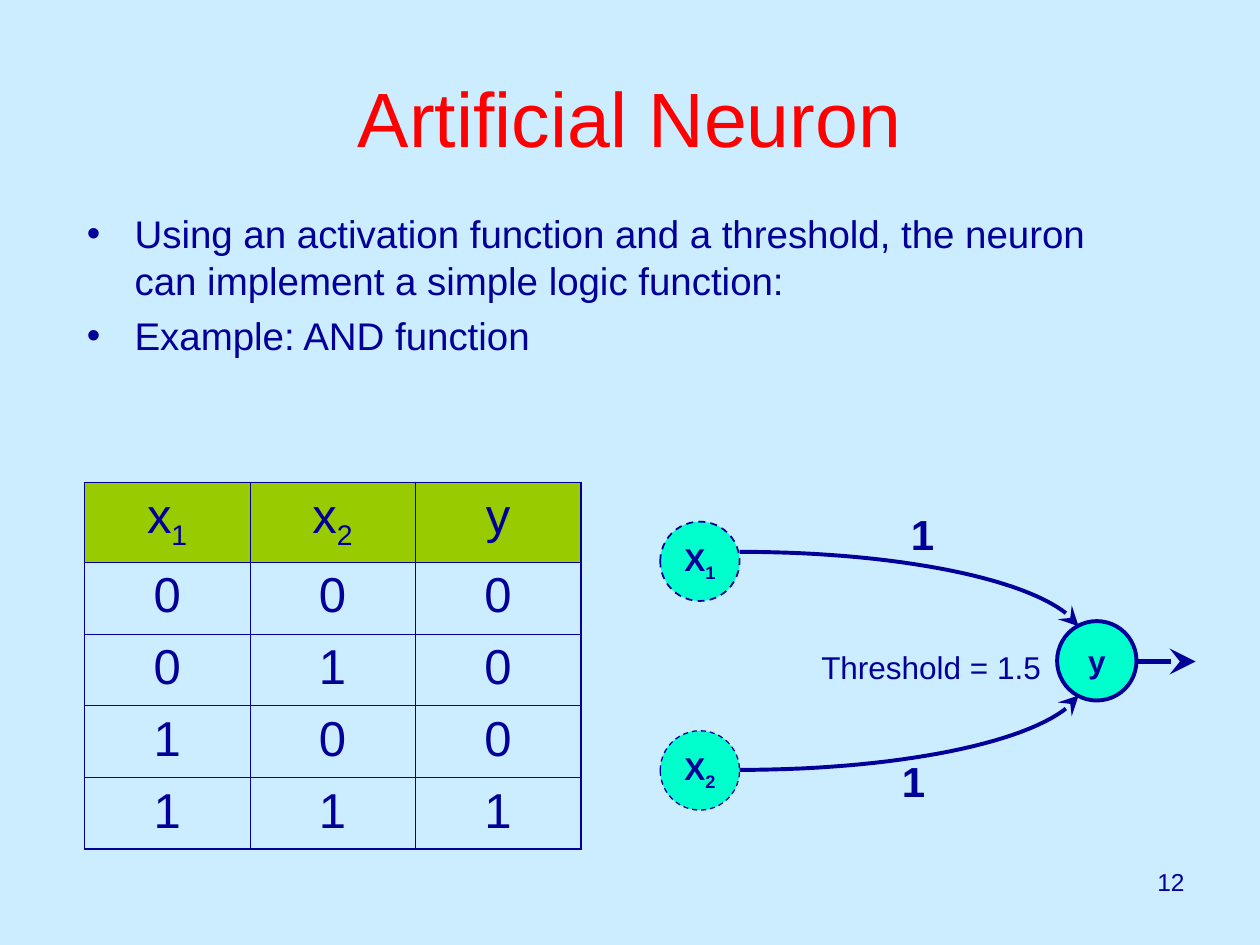
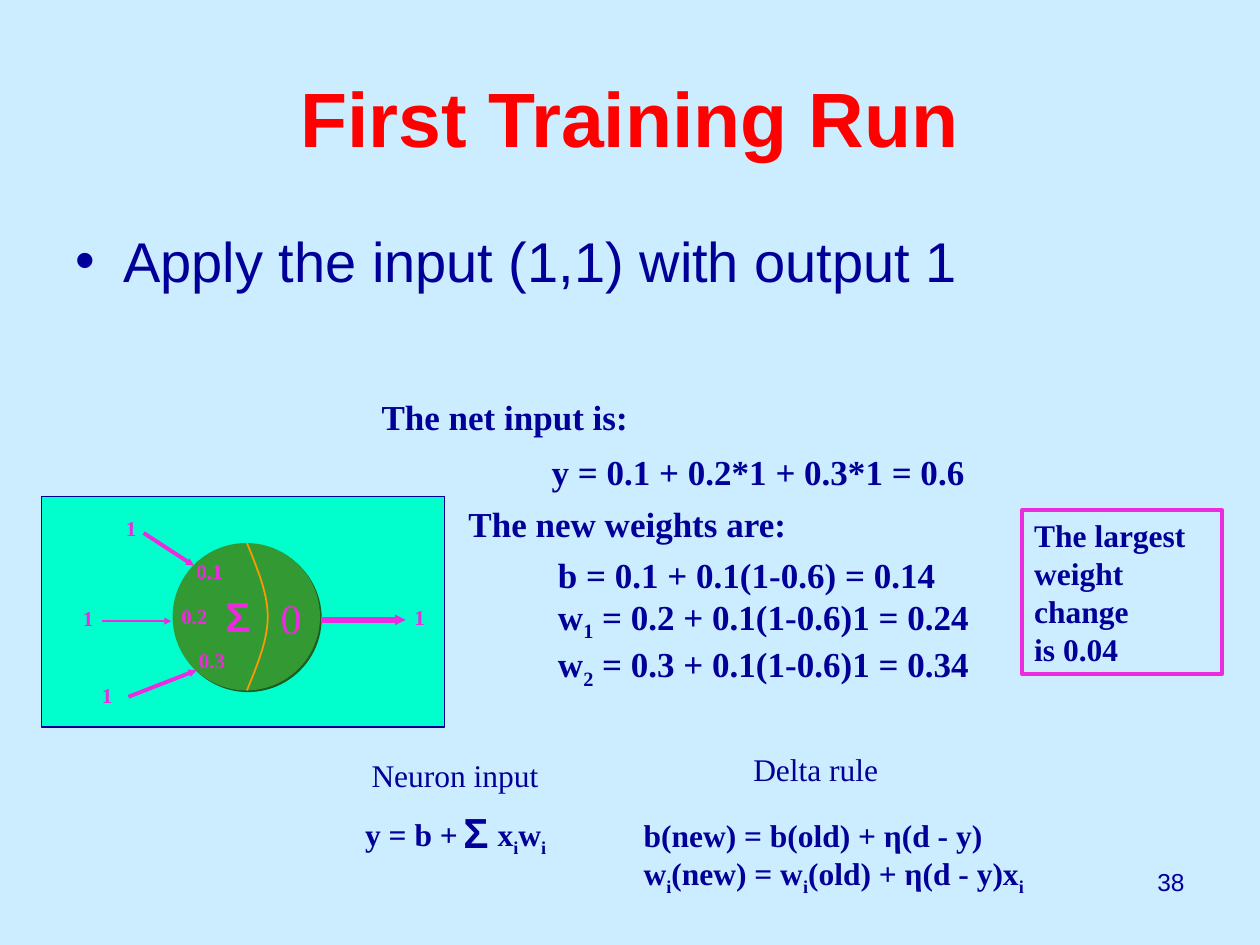
from dataclasses import dataclass

from lxml.etree import SubElement
from pptx import Presentation
from pptx.dml.color import RGBColor as RGB
from pptx.enum.dml import MSO_LINE_DASH_STYLE as Dash
from pptx.enum.shapes import MSO_CONNECTOR as Connector, MSO_SHAPE as Shape
from pptx.enum.text import MSO_ANCHOR as Anchor, MSO_AUTO_SIZE as AutoSize, PP_ALIGN as Align
from pptx.oxml.ns import qn
from pptx.util import Inches, Pt


@dataclass(frozen=True)
class Theme:
    sky: str = "CCECFF"
    red: str = "FF0000"
    navy: str = "000099"
    lime: str = "99CC00"
    mint: str = "00FFCC"
    green: str = "339933"
    shade: str = "1F5C1F"
    orange: str = "FF9900"
    pink: str = "EC2ADE"
    sans: str = "Arial"
    serif: str = "Times New Roman"
    title: int = 44
    table: int = 28
    symbol: int = 24
    formula: int = 20
    text: int = 18
    number: int = 14
    weight: int = 12


theme = Theme()
COLUMNS, ROWS = 100, 75
UNIT = Inches(10) // COLUMNS


def grid(*units):
    return [round(unit * UNIT) for unit in units]


def write(frame, text, size, font=theme.sans, color=theme.navy, bold=False, align=Align.LEFT):
    frame.text = text
    for paragraph in frame.paragraphs:
        paragraph.alignment = align
        head, *tails = paragraph.text.split("_")
        paragraph.text = head
        for tail in tails:
            for piece, baseline in ((tail[:1], "-25000"), (tail[1:], "0")):
                if piece:
                    run = paragraph.add_run()
                    run.text = piece
                    run._r.get_or_add_rPr().set("baseline", baseline)
        for run in paragraph.runs:
            run.font.size = Pt(size)
            run.font.name = font
            run.font.bold = bold
            run.font.color.rgb = RGB.from_string(color)


deck = Presentation()
deck.slide_width, deck.slide_height = grid(COLUMNS, ROWS)

pages = [
    ("Artificial Neuron", False, "12", (5.9, 16.2, 85.1, 18.9), 22,
     "Using an activation function and a threshold, the neuron can implement "
     "a simple logic function:\nExample: AND function"),
    ("First Training Run", True, "38", (5, 17.5, 90, 7), 32,
     "Apply the input (1,1) with output 1"),
]
for title, title_bold, number, body_at, body_size, body in pages:
    slide = deck.slides.add_slide(deck.slide_layouts[6])
    slide.background.fill.solid()
    slide.background.fill.fore_color.rgb = RGB.from_string(theme.sky)

    heading = slide.shapes.add_textbox(*grid(5, 3, 90, 12.5)).text_frame
    heading.word_wrap = True
    heading.vertical_anchor = Anchor.MIDDLE
    write(heading, title, theme.title, color=theme.red, bold=title_bold, align=Align.CENTER)

    points = slide.shapes.add_textbox(*grid(*body_at)).text_frame
    points.word_wrap = True
    write(points, body, body_size)
    for point in points.paragraphs:
        point.space_before = Pt(body_size / 4)
        properties = point._p.get_or_add_pPr()
        properties.set("marL", str(Inches(0.38)))
        properties.set("indent", str(-Inches(0.38)))
        SubElement(properties, qn("a:buFont"), typeface=theme.sans)
        SubElement(properties, qn("a:buChar"), char="•")

    footer = slide.shapes.add_textbox(*grid(71.7, 68.3, 23.3, 5.2)).text_frame
    footer.word_wrap = True
    write(footer, number, theme.number, align=Align.RIGHT)

neuron, training = deck.slides

truth = [("x_1", "x_2", "y"), "000", "010", "100", "111"]
truth_table = neuron.shapes.add_table(5, 3, *grid(6.7, 38.3, 39.4, 28.8)).table
truth_table.first_row = truth_table.horz_banding = False
for column in truth_table.columns:
    column.width = grid(13.13)[0]
for r, values in enumerate(truth):
    truth_table.rows[r].height = grid(5.7 if r else 6.3)[0]
    for c, value in enumerate(values):
        cell = truth_table.cell(r, c)
        write(cell.text_frame, value, theme.table, align=Align.CENTER)
        cell.text_frame.paragraphs[0].space_before = Pt(7)
        edges = (("a:lnL", c == 0), ("a:lnR", c == 2), ("a:lnT", r == 0), ("a:lnB", r == 4))
        for edge, outer in edges:
            border = SubElement(cell._tc.get_or_add_tcPr(), qn(edge),
                                w=str(Pt(1.08 if outer else 0.45)))
            SubElement(SubElement(border, qn("a:solidFill")), qn("a:srgbClr"), val=theme.navy)
        if r:
            cell.fill.background()
        else:
            cell.fill.solid()
            cell.fill.fore_color.rgb = RGB.from_string(theme.lime)

figures = [
    (neuron, Shape.OVAL, (52.4, 41.4, 6.3, 6.3), theme.mint, theme.navy, 1, Dash.DASH, "X_1"),
    (neuron, Shape.OVAL, (52.4, 58, 6.3, 6.3), theme.mint, theme.navy, 0.75, Dash.DASH, "X_2"),
    (neuron, Shape.OVAL, (83.9, 49.3, 6.3, 6.3), theme.mint, theme.navy, 2.25, None, "y"),
    (training, Shape.RECTANGLE, (3.3, 39.4, 32, 18.3), theme.mint, theme.navy, 0.75, None, ""),
    (training, Shape.OVAL, (13.7, 43.1, 11.7, 11.7), theme.green, None, 0, None, ""),
    (training, Shape.RECTANGLE, (81.1, 40.5, 15.9, 13), theme.sky, theme.pink, 2, None,
     "The largest weight change\nis 0.04"),
]
for slide, outline, at, fill, edge, width, dash, text in figures:
    figure = slide.shapes.add_shape(outline, *grid(*at))
    figure.shadow.inherit = False
    figure.fill.solid()
    figure.fill.fore_color.rgb = RGB.from_string(fill)
    if edge:
        figure.line.color.rgb = RGB.from_string(edge)
        figure.line.width = Pt(width)
        figure.line.dash_style = dash
    else:
        figure.line.fill.background()
        shadow = SubElement(figure._element.spPr.find(qn("a:effectLst")), qn("a:outerShdw"),
                            dist=str(Pt(1.4)), dir="2700000", algn="ctr", rotWithShape="0")
        SubElement(shadow, qn("a:srgbClr"), val=theme.shade)
    if text:
        in_node = outline == Shape.OVAL
        figure.text_frame.word_wrap = not in_node
        figure.text_frame.vertical_anchor = Anchor.MIDDLE if in_node else Anchor.TOP
        write(figure.text_frame, text, theme.text, theme.sans if in_node else theme.serif,
              bold=True, align=Align.CENTER if in_node else Align.LEFT)

strokes = [
    (neuron, [(58.7, 43.8), (72.2, 43.8), (83.3, 46.3), (85.6, 49.7)], theme.navy, 2.25, "stealth"),
    (neuron, [(58.7, 61.1), (72.2, 61.1), (83.3, 58.6), (85.6, 55.2)], theme.navy, 2.25, "stealth"),
    (neuron, [(90.2, 52.5), (94.9, 52.5)], theme.navy, 3, "stealth"),
    (training, [(19.6, 43.1), (21.8, 48.4), (21.8, 49.5), (19.6, 54.8)], theme.orange, 1, None),
    (training, [(25.5, 49.2), (32.2, 49.2)], theme.pink, 3, "triangle"),
    (training, [(11.4, 42.3), (15.4, 44.9)], theme.pink, 2.25, "triangle"),
    (training, [(10.2, 55.3), (15.6, 53.2)], theme.pink, 2.25, "triangle"),
    (training, [(8.1, 49.3), (13.6, 49.3)], theme.pink, 1.5, "triangle"),
]
HEAD_SIZES = {"stealth": "lg", "triangle": "sm"}
STEPS = 32
for slide, anchors, color, width, arrowhead in strokes:
    if len(anchors) == 2:
        stroke = slide.shapes.add_connector(Connector.STRAIGHT, *grid(*anchors[0], *anchors[1]))
        SubElement(stroke._element.spPr, qn("a:effectLst"))
    else:
        curve = []
        for step in range(STEPS + 1):
            t = step / STEPS
            shares = ((1 - t) ** 3, 3 * t * (1 - t) ** 2, 3 * t ** 2 * (1 - t), t ** 3)
            curve.append(grid(*(sum(s * a[axis] for s, a in zip(shares, anchors))
                                for axis in (0, 1))))
        builder = slide.shapes.build_freeform(*curve[0])
        builder.add_line_segments(curve[1:], close=False)
        stroke = builder.convert_to_shape()
        stroke.fill.background()
        stroke.shadow.inherit = False
    stroke.line.color.rgb = RGB.from_string(color)
    stroke.line.width = Pt(width)
    if arrowhead:
        head_size = HEAD_SIZES[arrowhead]
        SubElement(stroke.line._get_or_add_ln(), qn("a:tailEnd"),
                   type=arrowhead, w=head_size, len=head_size)

weight_style = (theme.weight, theme.serif, theme.pink, True)
formula_style = (theme.formula, theme.serif, theme.navy, True)
rule_style = (theme.text, theme.serif, theme.navy, True)
caption_style = (theme.text, theme.serif, theme.navy, False)
symbol_style = (theme.symbol, theme.sans, theme.navy, True)
labels = [
    (neuron, (70.6, 59.5, 3.8, 5), "1", symbol_style),
    (neuron, (71.3, 39.9, 3.8, 5), "1", symbol_style),
    (neuron, (64.2, 50.9, 20, 4), "Threshold = 1.5", (theme.text, theme.sans, theme.navy, False)),
    (training, (21.3, 46.5, 3.6, 5), "0", (theme.symbol, theme.serif, theme.pink, False)),
    (training, (16.9, 46.4, 3.9, 5), "Σ", (theme.symbol, theme.sans, theme.pink, True)),
    (training, (14.6, 43.8, 4.1, 3), "0.1", weight_style),
    (training, (13.4, 47.4, 4.1, 3), "0.2", weight_style),
    (training, (14.8, 50.9, 4.1, 3), "0.3", weight_style),
    (training, (9, 40.4, 2.8, 3), "1", weight_style),
    (training, (5.6, 47.6, 2.8, 3), "1", weight_style),
    (training, (7.1, 53.7, 2.8, 3), "1", weight_style),
    (training, (31.9, 47.5, 2.8, 3), "1", weight_style),
    (training, (29.3, 30.9, 22.5, 4.4), "The net input is:", formula_style),
    (training, (42.8, 35.3, 35.5, 4.4), "y = 0.1 + 0.2*1 + 0.3*1 = 0.6", formula_style),
    (training, (36.2, 39.4, 28, 4.4), "The new weights are:", formula_style),
    (training, (43.3, 43.4, 35.5, 11.9),
     "b = 0.1 + 0.1(1-0.6) = 0.14\nw_1 = 0.2 + 0.1(1-0.6)1 = 0.24\n"
     "w_2 = 0.3 + 0.1(1-0.6)1 = 0.34", formula_style),
    (training, (28.5, 59.5, 16.2, 4), "Neuron input", caption_style),
    (training, (58.8, 59, 12.5, 4), "Delta rule", caption_style),
    (training, (28, 64.2, 10, 4.4), "y = b +", rule_style),
    (training, (35.8, 63.5, 3.9, 5), "Σ", symbol_style),
    (training, (38.5, 64.2, 6.2, 4.4), "x_iw_i", rule_style),
    (training, (50.1, 64.3, 35.3, 7.4),
     "b(new) = b(old) + η(d - y)\nw_i(new) = w_i(old) + η(d - y)x_i", rule_style),
]
for slide, at, text, style in labels:
    label = slide.shapes.add_textbox(*grid(*at)).text_frame
    label.word_wrap = False
    label.auto_size = AutoSize.SHAPE_TO_FIT_TEXT
    write(label, text, *style)

deck.save("out.pptx")
